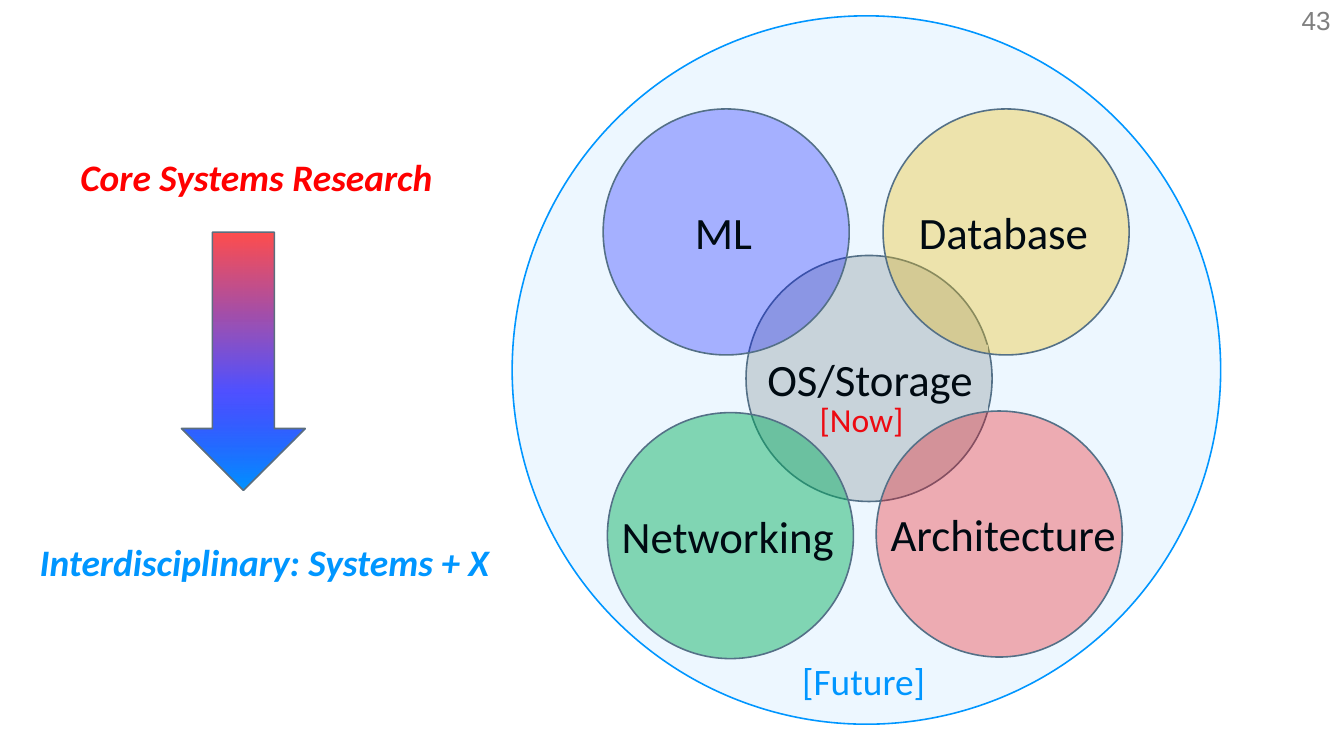
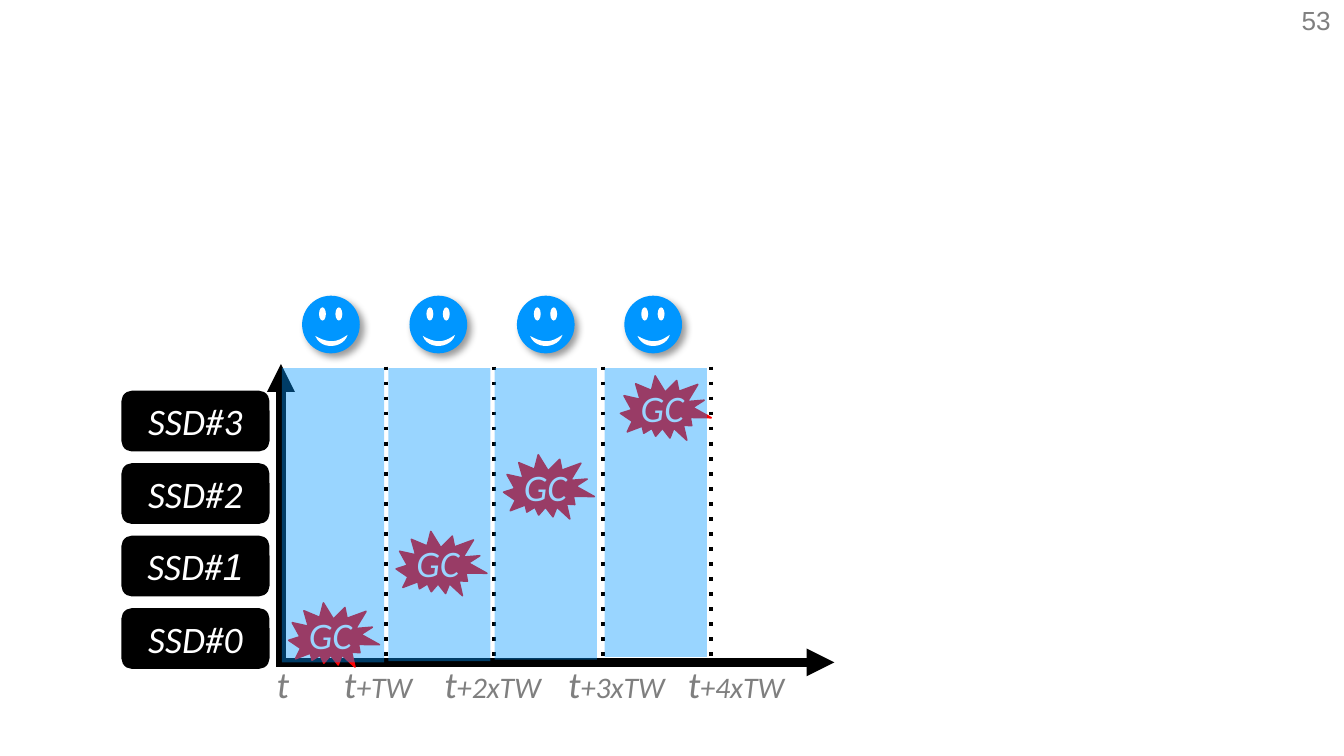
from lxml import etree
from pptx import Presentation
from pptx.dml.color import RGBColor
from pptx.enum import shapes, text
from pptx.oxml.ns import qn
from pptx.util import Cm, Pt

BLACK, WHITE, GREY, SILVER = "000000", "FFFFFF", "7F7F7F", "D8D8D8"
RED, BLUE, SKY, OUTLINE = "FF0000", "0000FF", "0096FF", "5B6E7E"
SHAPE, ALIGN = shapes.MSO_SHAPE, text.PP_ALIGN


def rgb(value):
    return RGBColor.from_string(value)


def add_xml(parent, tag, **attrs):
    return etree.SubElement(parent, qn(tag), {k: str(v) for k, v in attrs.items()})


def set_alpha(color, percent):
    add_xml(color, "a:alpha", val=percent * 1000)


def add_color(parent, color, alpha=100):
    clr = add_xml(parent, "a:srgbClr", val=color)
    if alpha < 100:
        set_alpha(clr, alpha)


def format_shape(sp, fill, alpha=100, line=None):
    sp.shadow.inherit = False
    sp.fill.solid()
    sp.fill.fore_color.rgb = rgb(fill)
    if alpha < 100:
        set_alpha(sp._element.spPr.find(".//" + qn("a:srgbClr")), alpha)
    if line:
        sp.line.color.rgb = rgb(line)
        sp.line.width = Pt(0.85)
    else:
        sp.line.fill.background()


def add_shape(s, kind, x, y, w, h, fill, **fmt):
    sp = s.shapes.add_shape(kind, Cm(x), Cm(y), Cm(w), Cm(h))
    format_shape(sp, fill, **fmt)
    return sp


def write(sp, runs, size=20, color=BLACK, font="Calibri", bold=False,
          italic=False, align=ALIGN.LEFT, anchor=text.MSO_ANCHOR.TOP):
    tf = sp.text_frame
    tf.word_wrap = True
    tf.vertical_anchor = anchor
    p = tf.paragraphs[0]
    p.alignment = align
    for content, own in [(runs, {})] if isinstance(runs, str) else runs:
        r = p.add_run()
        r.text = content
        r.font.size = Pt(own.get("size", size))
        r.font.name = own.get("font", font)
        r.font.color.rgb = rgb(color)
        r.font.bold = bold
        r.font.italic = italic


def add_text(s, x, y, w, h, runs, fill=None, **fmt):
    sp = s.shapes.add_textbox(Cm(x), Cm(y), Cm(w), Cm(h))
    if fill:
        format_shape(sp, fill)
    write(sp, runs, **fmt)


def add_line(s, x1, y1, x2, y2, width, dash=None, arrow=False):
    cn = s.shapes.add_connector(shapes.MSO_CONNECTOR.STRAIGHT,
                                Cm(x1), Cm(y1), Cm(x2), Cm(y2))
    cn.line.color.rgb = rgb(BLACK)
    cn.line.width = Pt(width)
    ln = cn.line._get_or_add_ln()
    if dash:
        add_xml(ln, "a:prstDash", val=dash)
    if arrow:
        add_xml(ln, "a:tailEnd", type="triangle")
    add_xml(cn._element.spPr, "a:effectLst")


def new_slide(prs, number):
    s = prs.slides.add_slide(prs.slide_layouts[6])
    add_text(s, 23.16, 0, 2.24, 0.76, number, size=14, color=GREY, font="Arial",
             align=ALIGN.RIGHT, anchor=text.MSO_ANCHOR.MIDDLE)
    return s


def add_field(s, x, y, label, fill, alpha=100, dx=-0.05, width=4.65, back=None):
    add_shape(s, SHAPE.OVAL, x, y, 4.65, 4.65, fill, alpha=alpha, line=OUTLINE)
    add_text(s, x + dx, y + 1.69, width, 1.27, label, fill=back, size=24,
             align=ALIGN.CENTER)


def add_gradient_arrow(s, x, y, w, h, stops):
    sp = add_shape(s, SHAPE.DOWN_ARROW, x, y, w, h, RED, line=OUTLINE)
    sp.fill.gradient()
    sp.fill.gradient_angle = 270
    gs_list = sp._element.spPr.find(".//" + qn("a:gsLst"))
    for gs in list(gs_list):
        gs_list.remove(gs)
    for pos, color, alpha in stops:
        add_color(add_xml(gs_list, "a:gs", pos=pos * 1000), color, alpha)


def bezier(p0, p1, p2, p3, steps=12):
    for i in range(1, steps + 1):
        t = i / steps
        u = 1 - t
        yield tuple(u**3 * a + 3 * u * u * t * b + 3 * u * t * t * c + t**3 * d
                    for a, b, c, d in zip(p0, p1, p2, p3))


def add_smiley(s, x, y):
    face = add_shape(s, SHAPE.OVAL, x, y, 1.09, 1.09, SKY)
    effects = face._element.spPr.find(qn("a:effectLst"))
    shadow = add_xml(effects, "a:outerShdw", blurRad=Pt(4), dist=Pt(3),
                     dir=45 * 60000, algn="tl", rotWithShape=0)
    add_color(shadow, BLACK, 40)
    for dx in (0.32, 0.63):
        add_shape(s, SHAPE.OVAL, x + dx, y + 0.22, 0.13, 0.25, WHITE)
    left, right = (0.25, 0.76), (0.86, 0.74)
    outline = [*bezier(left, (0.36, 1.04), (0.79, 0.99), right),
               *bezier(right, (0.71, 0.84), (0.56, 0.94), left)]
    points = [(Cm(x + dx), Cm(y + dy)) for dx, dy in outline]
    mouth = s.shapes.build_freeform(*points[-1])
    mouth.add_line_segments(points, close=True)
    format_shape(mouth.convert_to_shape(), WHITE)


def add_gc(s, x, y):
    sp = add_shape(s, SHAPE.EXPLOSION2, x, y, 1.65, 1.42, RED, line=RED)
    sp.rotation = 28.1
    add_text(s, x + 0.1, y + 0.11, 1.4, 1.12, "GC", color=WHITE, italic=True)


def add_ssd(s, y, runs):
    sp = add_shape(s, SHAPE.ROUNDED_RECTANGLE, 2.31, y, 2.77, 1.12, BLACK, line=BLACK)
    sp.adjustments[0] = 0.167
    write(sp, runs, color=WHITE, italic=True, align=ALIGN.CENTER,
          anchor=text.MSO_ANCHOR.MIDDLE)


def build_research(prs):
    s = new_slide(prs, "43")
    add_field(s, 14.1, 4.83, "OS/Storage", SILVER, dx=0.12, width=4.45, back=SILVER)
    add_field(s, 16.56, 7.77, "Architecture", RED, 32, width=4.9)
    add_field(s, 16.69, 2.06, "Database", "FFC000", 35)
    add_field(s, 11.48, 7.8, "Networking", "00B050", 46)
    add_field(s, 11.4, 2.06, "ML", BLUE, 30)
    add_text(s, 15.24, 7.42, 2.24, 1.02, "[Now]", size=18, color=RED)
    add_shape(s, SHAPE.OVAL, 9.68, 0.3, 13.39, 13.39, SKY, alpha=7, line=SKY)
    add_text(s, 14.91, 12.32, 2.9, 1.12, "[Future]", color=SKY)
    add_text(s, 1.27, 2.79, 7.62, 1.12, "Core Systems Research", color=RED,
             bold=True, italic=True)
    add_gradient_arrow(s, 3.43, 4.39, 2.34, 4.88,
                       [(0, RED, 69), (61, BLUE, 68), (100, SKY, 100)])
    add_text(s, 0.5, 10.06, 9.32, 1.12, "Interdisciplinary: Systems + X", color=SKY,
             bold=True, italic=True)


def build_timeline(prs):
    s = new_slide(prs, "53")
    for i in range(4):
        x = 7.29 + 2.05 * i
        add_line(s, x, 6.93, x, 12.42 if i else 12.6, 2, dash="dot")
    ticks = [(4.98, 1.35, ""), (6.25, 2.26, "+TW"), (8.15, 3.25, "+2xTW"),
             (10.49, 3.12, "+3xTW"), (12.75, 3.12, "+4xTW")]
    for x, width, suffix in ticks:
        runs = [("t", {})] + ([(suffix, {"size": 16})] if suffix else [])
        add_text(s, x, 12.37, width, 1.12, runs, color=GREY, italic=True)
    ssds = ["SSD#0", [("SSD#", {}), ("1", {"font": "Arial"})], "SSD#2", "SSD#3"]
    for i, runs in enumerate(ssds):
        add_ssd(s, 11.51 - 1.37 * i, runs)
    add_line(s, 5.31, 12.52, 15.77, 12.52, 5, arrow=True)
    add_line(s, 5.31, 12.6, 5.31, 6.88, 5, arrow=True)
    for x, y in [(5.49, 11.33), (7.52, 9.98), (9.55, 8.53), (11.76, 7.04)]:
        add_gc(s, x, y)
    windows = [(5.33, 5.56), (7.34, 5.54), (9.35, 5.51), (11.43, 5.46)]
    for i, (x, height) in enumerate(windows):
        add_smiley(s, 5.71 + 2.03 * i, 5.59)
        add_shape(s, SHAPE.RECTANGLE, x, 6.96, 1.93, height, SKY, alpha=40)


def main():
    prs = Presentation()
    prs.slide_width, prs.slide_height = Cm(25.4), Cm(14.29)
    build_research(prs)
    build_timeline(prs)
    prs.save("out.pptx")


if __name__ == "__main__":
    main()
